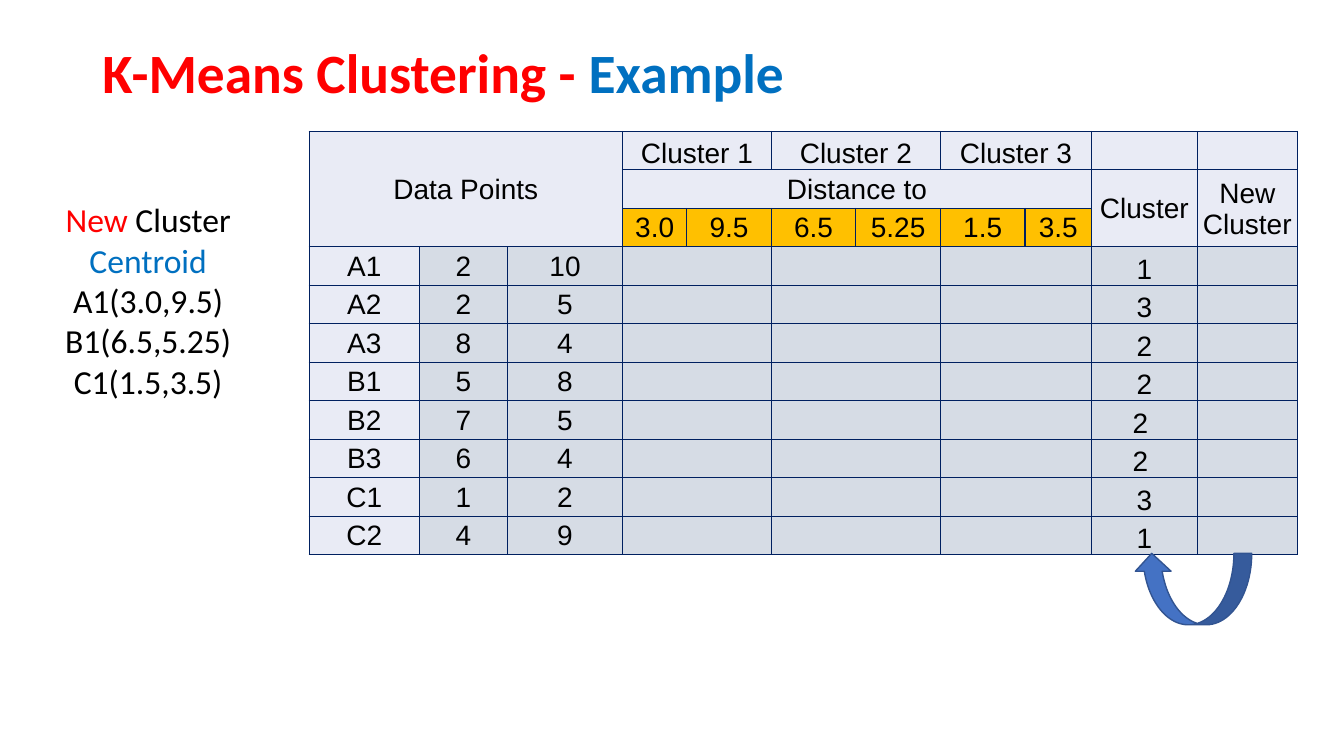
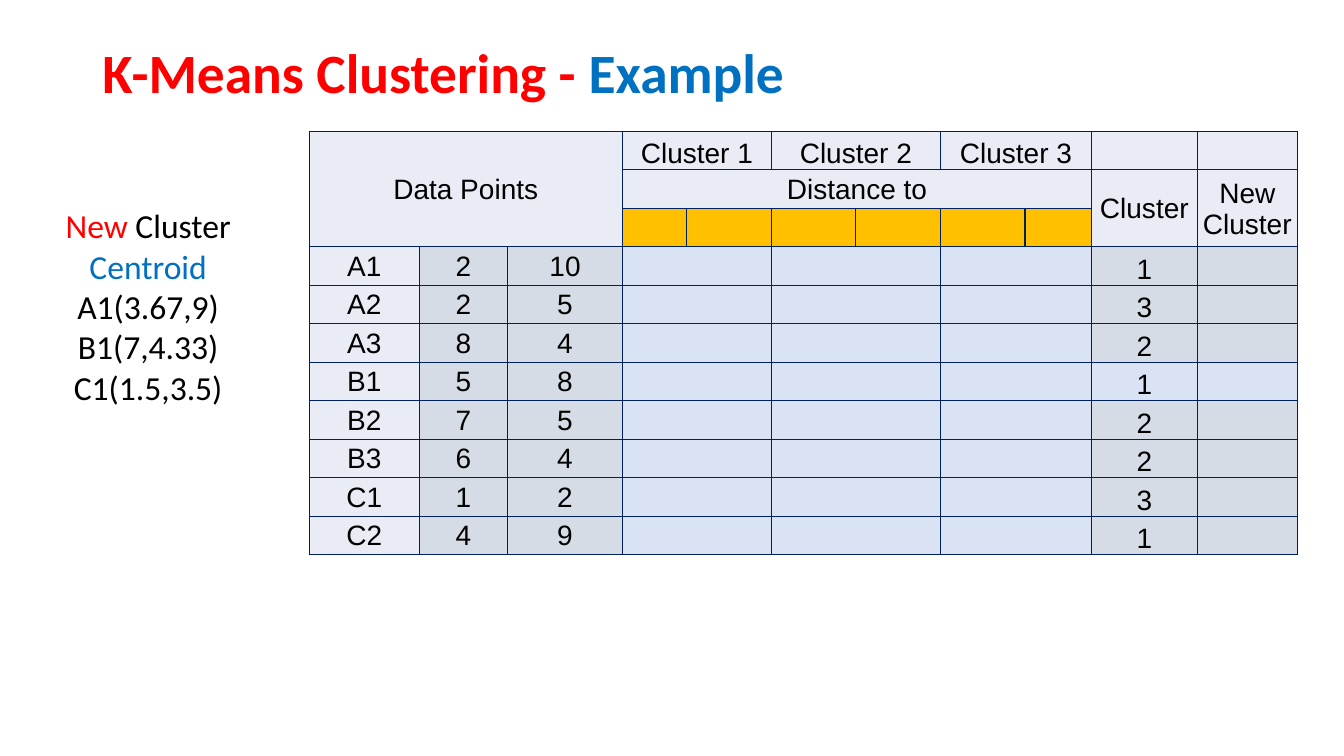
from dataclasses import dataclass

from lxml import etree
from pptx import Presentation
from pptx.dml.color import RGBColor
from pptx.enum.shapes import MSO_SHAPE
from pptx.enum.text import MSO_ANCHOR, PP_ALIGN
from pptx.oxml.ns import qn
from pptx.util import Cm, Pt

LEFT, CENTER = PP_ALIGN.LEFT, PP_ALIGN.CENTER
TOP, MIDDLE, BOTTOM = MSO_ANCHOR.TOP, MSO_ANCHOR.MIDDLE, MSO_ANCHOR.BOTTOM
CURVED_ARROW = MSO_SHAPE.CURVED_LEFT_ARROW


@dataclass(frozen=True)
class Theme:
    red: str = "FF0000"
    blue: str = "0070C0"
    black: str = "000000"
    border: str = "002060"
    header: str = "E9EBF5"
    body: str = "D6DCE5"
    tint: str = "DAE3F3"
    gold: str = "FFC000"
    arrow: str = "4472C4"
    arrow_line: str = "325491"
    text_font: str = "Calibri"
    table_font: str = "Arial"
    title_size: float = 39.6
    note_size: float = 24
    table_size: float = 20


THEME = Theme()
COLUMN_WIDTHS = [2.78, 2.22, 2.9, 1.62, 2.13, 2.13, 2.13, 2.13, 1.68, 2.66, 2.53]
ROW_HEIGHT = 0.97
HEADER_ROWS = 3
DISTANCE_COLUMNS = [3, 5, 7]
CLUSTER_COLUMN, NEW_CLUSTER_COLUMN = 9, 10
POINTS = [("A1", 2, 10), ("A2", 2, 5), ("A3", 8, 4), ("B1", 5, 8),
          ("B2", 7, 5), ("B3", 6, 4), ("C1", 1, 2), ("C2", 4, 9)]


class ClusterDeck:
    def __init__(self, theme):
        self.theme = theme
        self.deck = Presentation()
        self.deck.slide_width, self.deck.slide_height = Cm(33.87), Cm(19.05)
        self.page = None

    def add_page(self):
        self.page = self.deck.slides.add_slide(self.deck.slide_layouts[6])
        title = [("K-Means Clustering - ", self.theme.red), ("Example", self.theme.blue)]
        self.add_text((2.33, 1.02, 29.2, 1.78), [title], self.theme.title_size,
                      bold=True, anchor=MIDDLE, spacing=0.9)

    def add_run(self, para, text, color, size, font, bold=False):
        span = para.add_run()
        span.text = text
        span.font.name, span.font.size, span.font.bold = font, Pt(size), bold
        span.font.color.rgb = RGBColor.from_string(color)

    def add_text(self, place, lines, size, bold=False, align=LEFT, anchor=TOP, spacing=1.0):
        """Add a text box; each line is a list of (text, colour) runs."""
        frame = self.page.shapes.add_textbox(*map(Cm, place)).text_frame
        frame.word_wrap, frame.vertical_anchor = True, anchor
        for index, line in enumerate(lines):
            para = frame.add_paragraph() if index else frame.paragraphs[0]
            para.alignment, para.line_spacing = align, spacing
            for text, color in line:
                self.add_run(para, text, color, size, self.theme.text_font, bold)

    def add_centroids(self, top, height, centroids):
        theme = self.theme
        heading = [("New", theme.red), (" Cluster ", theme.black), ("Centroid", theme.blue)]
        lines = [heading] + [[(centroid, theme.black)] for centroid in centroids]
        self.add_text((1.17, top, 5.13, height), lines, theme.note_size, align=CENTER)

    def set_borders(self, cell):
        properties = cell._tc.get_or_add_tcPr()
        for side in ("lnL", "lnR", "lnT", "lnB"):
            line = etree.SubElement(properties, qn(f"a:{side}"), w=str(Pt(1)))
            fill = etree.SubElement(line, qn("a:solidFill"))
            etree.SubElement(fill, qn("a:srgbClr"), val=self.theme.border)

    def add_grid(self, row_count):
        """Add an empty bordered table with tight margins."""
        table = self.page.shapes.add_table(
            row_count, len(COLUMN_WIDTHS), Cm(7.79), Cm(3.31),
            Cm(sum(COLUMN_WIDTHS)), Cm(ROW_HEIGHT * row_count)).table
        table.first_row = table.horz_banding = False
        for column, width in zip(table.columns, COLUMN_WIDTHS):
            column.width = Cm(width)
        for row in table.rows:
            row.height = Cm(ROW_HEIGHT)
        for cell in table.iter_cells():
            self.set_borders(cell)
            cell.margin_left = cell.margin_right = cell.margin_top = Cm(0.03)
            cell.margin_bottom = 0
        return table

    def fill_cell(self, table, row, column, text, color, anchor=MIDDLE, rows=1, columns=1):
        cell = table.cell(row, column)
        if rows * columns > 1:
            cell.merge(table.cell(row + rows - 1, column + columns - 1))
        cell.fill.solid()
        cell.fill.fore_color.rgb = RGBColor.from_string(color)
        cell.vertical_anchor = anchor
        para = cell.text_frame.paragraphs[0]
        para.alignment = CENTER
        para.font.size = Pt(self.theme.table_size)
        if text:
            self.add_run(para, text, self.theme.black, self.theme.table_size,
                         self.theme.table_font)

    def add_cluster_table(self, coordinates, clusters, distance_color, moved=()):
        """Add the distance table; rows of the points in moved are tinted."""
        theme = self.theme
        table = self.add_grid(HEADER_ROWS + len(POINTS))
        self.fill_cell(table, 0, 0, "Data Points", theme.header, rows=3, columns=3)
        for number, column in enumerate(DISTANCE_COLUMNS, 1):
            self.fill_cell(table, 0, column, f"Cluster {number}", theme.header,
                           BOTTOM, columns=2)
        self.fill_cell(table, 1, 3, "Distance to", theme.header, columns=6)
        for column, label in ((CLUSTER_COLUMN, "Cluster"),
                              (NEW_CLUSTER_COLUMN, "New Cluster")):
            self.fill_cell(table, 0, column, "", theme.header)
            self.fill_cell(table, 1, column, label, theme.header, rows=2)
        for column, coordinate in enumerate(coordinates, DISTANCE_COLUMNS[0]):
            self.fill_cell(table, 2, column, coordinate, theme.gold)

        for row, (point, cluster) in enumerate(zip(POINTS, clusters), HEADER_ROWS):
            name, x, y = point
            self.fill_cell(table, row, 0, name, theme.header)
            self.fill_cell(table, row, 1, str(x), theme.body)
            self.fill_cell(table, row, 2, str(y), theme.body)
            for column in DISTANCE_COLUMNS:
                self.fill_cell(table, row, column, "", distance_color, columns=2)
            color = theme.tint if name in moved else theme.body
            self.fill_cell(table, row, CLUSTER_COLUMN, cluster, color, BOTTOM)
            self.fill_cell(table, row, NEW_CLUSTER_COLUMN, "", color)

    def add_return_arrow(self):
        arrow = self.page.shapes.add_shape(CURVED_ARROW, Cm(29.16), Cm(13.36),
                                           Cm(1.8), Cm(2.97))
        arrow.rotation = 90
        arrow.shadow.inherit = False
        arrow.fill.solid()
        arrow.fill.fore_color.rgb = RGBColor.from_string(self.theme.arrow)
        arrow.line.color.rgb = RGBColor.from_string(self.theme.arrow_line)
        arrow.line.width = Pt(1)


def main():
    slides = ClusterDeck(THEME)

    slides.add_page()
    slides.add_cluster_table(["3.0", "9.5", "6.5", "5.25", "1.5", "3.5"],
                             ["1", "3", "2", "2", "2 ", "2 ", "3", "1"], THEME.body)
    slides.add_centroids(4.9, 7.44, ["A1(3.0,9.5)", "B1(6.5,5.25)", "C1(1.5,3.5)"])
    slides.add_return_arrow()

    slides.add_page()
    slides.add_cluster_table([""] * 6, ["1", "3", "2", "1", "2", "2", "3", "1"],
                             THEME.tint, moved=("B1",))
    slides.add_centroids(5.05, 6.4, ["A1(3.67,9)", "B1(7,4.33)", "C1(1.5,3.5)"])

    slides.deck.save("out.pptx")


if __name__ == "__main__":
    main()
